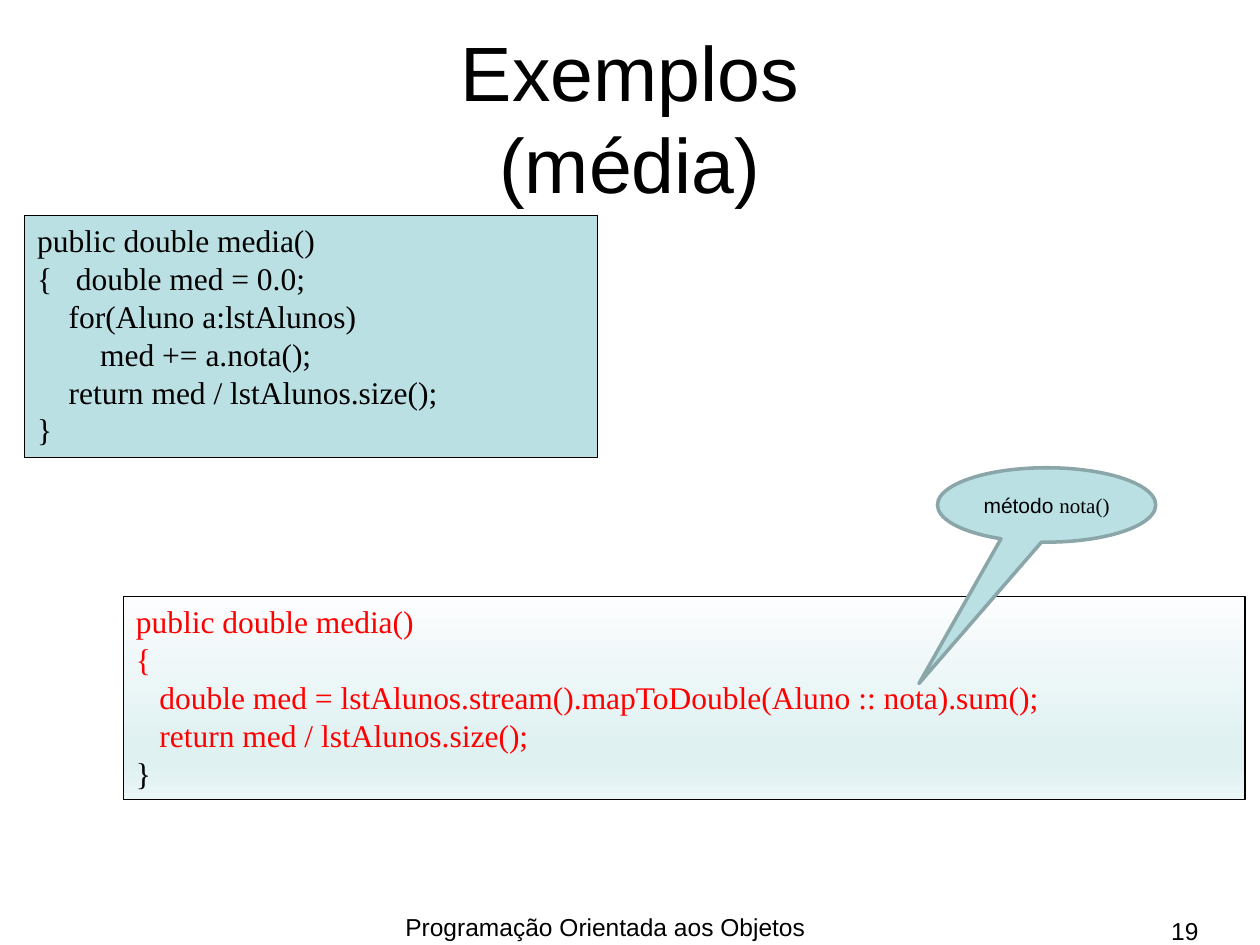
from lxml.etree import SubElement
from pptx import Presentation
from pptx.dml.color import RGBColor
from pptx.enum.shapes import MSO_SHAPE
from pptx.enum.text import MSO_ANCHOR, PP_ALIGN
from pptx.oxml.ns import qn
from pptx.util import Cm, Pt

BLACK = RGBColor(0x00, 0x00, 0x00)
RED = RGBColor(0xFF, 0x00, 0x00)
PALE_TEAL = RGBColor(0xBB, 0xE0, 0xE3)
GREY_TEAL = RGBColor(0x8A, 0xA6, 0xA8)
GRADIENT_STOPS = [
    (0, RGBColor(0xFC, 0xFD, 0xFE)),
    (74, RGBColor(0xE0, 0xF1, 0xF2)),
    (83, RGBColor(0xE0, 0xF1, 0xF2)),
    (100, RGBColor(0xEB, 0xF6, 0xF7)),
]
SANS = "Arial"
SERIF = "Times New Roman"

LOOP_CODE = """public double media()
{   double med = 0.0;
    for(Aluno a:lstAlunos)
    \tmed += a.nota();
    return med / lstAlunos.size();
}"""
STREAM_CODE = """public double media()
{
   double med = lstAlunos.stream().mapToDouble(Aluno :: nota).sum();
   return med / lstAlunos.size();
}"""


def format_run(run, size, name, color=BLACK):
    run.font.size = Pt(size)
    run.font.name = name
    run.font.color.rgb = color


def format_paragraph(paragraph, alignment, size, name, color=BLACK):
    paragraph.alignment = alignment
    for run in paragraph.runs:
        format_run(run, size, name, color)


def add_label(slide, text, left, top, width, height, size, alignment,
              anchor=MSO_ANCHOR.TOP):
    box = slide.shapes.add_textbox(Cm(left), Cm(top), Cm(width), Cm(height))
    frame = box.text_frame
    frame.word_wrap = True
    frame.vertical_anchor = anchor
    frame.text = text
    format_paragraph(frame.paragraphs[0], alignment, size, SANS)


def add_outlined_shape(slide, kind, left, top, width, height, line_color, line_width):
    shape = slide.shapes.add_shape(kind, Cm(left), Cm(top), Cm(width), Cm(height))
    shape.shadow.inherit = False
    shape.fill.solid()
    shape.fill.fore_color.rgb = PALE_TEAL
    shape.line.color.rgb = line_color
    shape.line.width = Pt(line_width)
    shape.text_frame.word_wrap = True
    return shape


def add_code_box(slide, code, left, top, width, height, color):
    box = add_outlined_shape(slide, MSO_SHAPE.RECTANGLE, left, top, width, height,
                             BLACK, 0.75)
    frame = box.text_frame
    frame.vertical_anchor = MSO_ANCHOR.TOP
    frame.text = code
    for paragraph in frame.paragraphs:
        format_paragraph(paragraph, PP_ALIGN.LEFT, 18, SERIF, color)
    return box


def fill_downward_gradient(shape, stops):
    """Fill from top to bottom with any number of (percent, colour) stops."""
    shape.fill.gradient()
    gradient = shape._element.spPr.find(qn("a:gradFill"))
    stop_list = gradient.find(qn("a:gsLst"))
    for stop in list(stop_list):
        stop_list.remove(stop)
    for percent, color in stops:
        stop = SubElement(stop_list, qn("a:gs"), pos=str(percent * 1000))
        SubElement(stop, qn("a:srgbClr"), val=str(color))
    gradient.find(qn("a:lin")).set("ang", str(90 * 60000))


def add_callout(slide, left, top, width, height, tip):
    callout = add_outlined_shape(slide, MSO_SHAPE.OVAL_CALLOUT, left, top, width,
                                 height, GREY_TEAL, 2)
    callout.adjustments[0], callout.adjustments[1] = tip
    callout.text_frame.vertical_anchor = MSO_ANCHOR.MIDDLE
    paragraph = callout.text_frame.paragraphs[0]
    paragraph.alignment = PP_ALIGN.CENTER
    for text, name in [("método ", SANS), ("nota()", SERIF)]:
        run = paragraph.add_run()
        run.text = text
        format_run(run, 12, name)


def main():
    presentation = Presentation()
    presentation.slide_width = Cm(25.4)
    presentation.slide_height = Cm(19.05)
    slide = presentation.slides.add_slide(presentation.slide_layouts[6])

    add_label(slide, "Exemplos\v(média)", 1.27, 0.76, 22.86, 3.18, 44,
              PP_ALIGN.CENTER, MSO_ANCHOR.MIDDLE)
    add_label(slide, "Programação Orientada aos Objetos", 6.3, 18.26, 11.81, 0.79,
              14, PP_ALIGN.CENTER)
    add_label(slide, "19", 18.49, 18.34, 5.92, 0.53, 14, PP_ALIGN.RIGHT)

    add_code_box(slide, LOOP_CODE, 0.5, 4.34, 11.54, 4.88, BLACK)
    stream_box = add_code_box(slide, STREAM_CODE, 2.49, 12.02, 22.61, 4.1, RED)
    fill_downward_gradient(stream_box, GRADIENT_STOPS)
    closing_brace = stream_box.text_frame.paragraphs[-1].runs[0]
    closing_brace.font.color.rgb = BLACK

    add_callout(slide, 18.9, 9.43, 4.4, 1.5, tip=(-0.585, 2.4))
    presentation.save("out.pptx")


if __name__ == "__main__":
    main()
